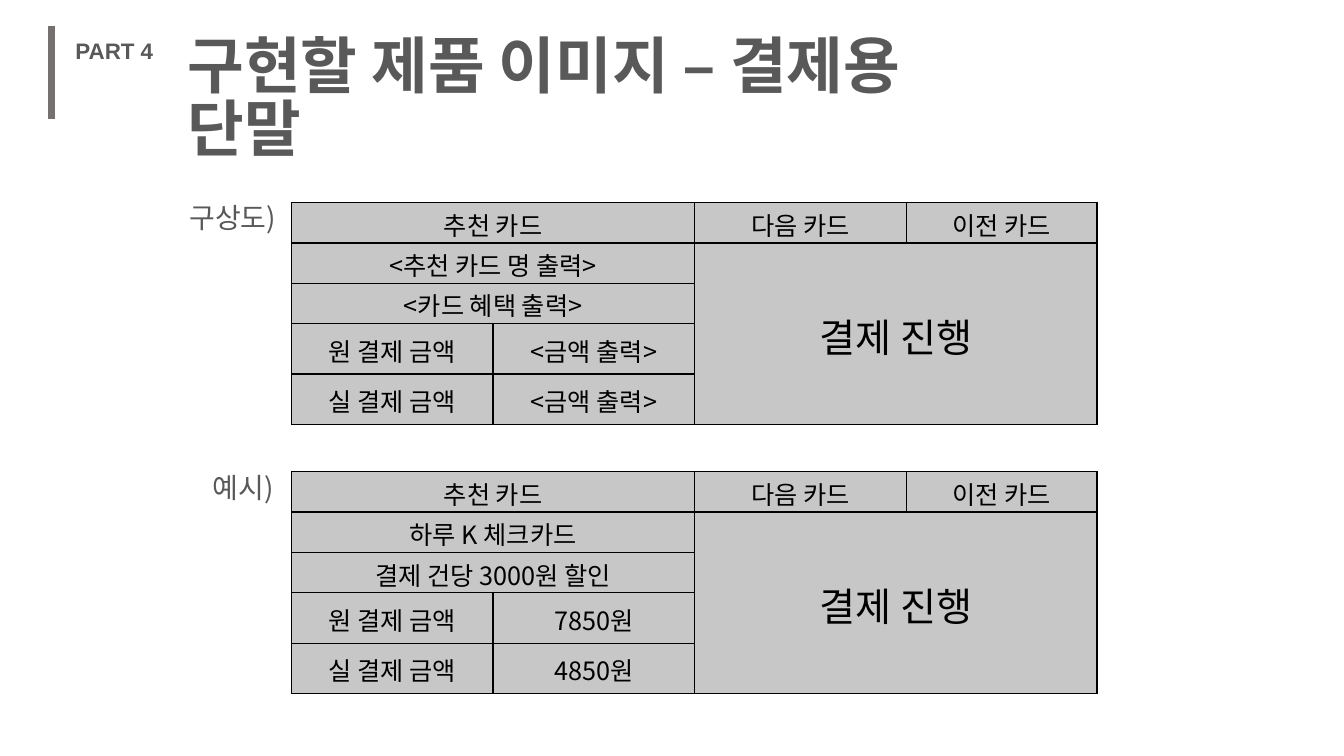
from lxml import etree
from pptx import Presentation
from pptx.dml.color import RGBColor
from pptx.enum import shapes, text
from pptx.oxml import ns
from pptx.util import Inches, Pt

DARK = RGBColor(0x59, 0x59, 0x59)
BAR = RGBColor(0x76, 0x71, 0x71)
BLACK = RGBColor(0, 0, 0)
GREY = RGBColor(0xC7, 0xC7, 0xC7)
SANS = "Noto Sans CJK KR"

TITLE = {"size": Pt(44), "name": SANS, "bold": True}
PART = {"size": Pt(16), "name": "Arial", "bold": True}
LABEL = {"size": Pt(20), "name": SANS}
CELL = {"size": Pt(18), "name": SANS}
PAY = {"size": Pt(28), "name": SANS}

# text, left, top, width, height, font, wrap, top inset, line spacing
TEXTS = [
    ("PART 4", 0.65, 0.32, 0.98, 0.37, PART, False, 0.05, 1.0),
    ("구현할 제품 이미지 – 결제용 단말", 1.76, 0.3, 8.5, 0.84, TITLE, True, 0.09, 0.84),
    ("구상도)", 1.78, 1.99, 1.15, 0.4, LABEL, False, 0, 1.0),
    ("예시)", 2.01, 4.67, 0.88, 0.4, LABEL, False, 0, 1.0),
]

# top, card name, benefit, full price, price to pay
PANELS = [
    (2.01, "<추천 카드 명 출력>", "<카드 혜택 출력>", "<금액 출력>", "<금액 출력>"),
    (4.68, "하루 K 체크카드", "결제 건당 3000원 할인", "7850원", "4850원"),
]
LEFT = 2.89
COLS = [2, 2, 2.1, 1.89]
ROWS = [0.4, 0.4, 0.4, 0.5, 0.5]
SPANS = [(0, 0, 0, 1), (1, 0, 1, 1), (2, 0, 2, 1), (1, 2, 4, 3)]


def style(par, look, color):
    for key, val in look.items():
        setattr(par.font, key, val)
    par.font.color.rgb = color
    for run in par.runs:
        for key, val in look.items():
            setattr(run.font, key, val)
        run.font.color.rgb = color
        east = etree.SubElement(run.font._element, ns.qn("a:ea"))
        east.set("typeface", look["name"])


def edge(cell):
    """Give the cell a thin black line on all four sides."""
    props = cell._tc.get_or_add_tcPr()
    for pos, side in enumerate(("lnL", "lnR", "lnT", "lnB")):
        line = etree.Element(ns.qn("a:" + side), w=str(Pt(1)))
        fill = etree.SubElement(line, ns.qn("a:solidFill"))
        etree.SubElement(fill, ns.qn("a:srgbClr"), val=str(BLACK))
        props.insert(pos, line)


def write(slide, words, left, top, width, height, look, wrap, inset, space):
    box = slide.shapes.add_textbox(*map(Inches, (left, top, width, height)))
    frame = box.text_frame
    frame.word_wrap = wrap
    frame.margin_top = Inches(inset)
    frame.text = words
    par = frame.paragraphs[0]
    par.line_spacing = space
    style(par, look, DARK)


def panel(slide, top, card, perk, full, net):
    words = {
        (0, 0): "추천 카드", (0, 2): "다음 카드", (0, 3): "이전 카드",
        (1, 0): card, (1, 2): "결제 진행", (2, 0): perk,
        (3, 0): "원 결제 금액", (3, 1): full,
        (4, 0): "실 결제 금액", (4, 1): net,
    }
    area = map(Inches, (LEFT, top, sum(COLS), sum(ROWS)))
    table = slide.shapes.add_table(len(ROWS), len(COLS), *area).table
    table.first_row = table.horz_banding = False
    for col, width in zip(table.columns, COLS):
        col.width = Inches(width)
    for row, height in zip(table.rows, ROWS):
        row.height = Inches(height)
    for r in range(len(ROWS)):
        for c in range(len(COLS)):
            cell = table.cell(r, c)
            cell.fill.solid()
            cell.fill.fore_color.rgb = GREY
            cell.margin_top, cell.margin_bottom = Inches(0.03), 0
            cell.vertical_anchor = text.MSO_ANCHOR.MIDDLE
            cell.text = words.get((r, c), "")
            par = cell.text_frame.paragraphs[0]
            par.alignment = text.PP_ALIGN.CENTER
            style(par, PAY if (r, c) == (1, 2) else CELL, BLACK)
            edge(cell)
    for r1, c1, r2, c2 in SPANS:
        table.cell(r1, c1).merge(table.cell(r2, c2))


def main():
    deck = Presentation()
    deck.slide_width, deck.slide_height = Inches(13.33), Inches(7.5)
    slide = deck.slides.add_slide(deck.slide_layouts[6])
    bar = slide.shapes.add_connector(
        shapes.MSO_CONNECTOR.STRAIGHT, *map(Inches, (0.51, 0.26, 0.51, 1.18)))
    bar.line.color.rgb = BAR
    bar.line.width = Pt(4.5)
    etree.SubElement(bar._element.spPr, ns.qn("a:effectLst"))
    for item in PANELS:
        panel(slide, *item)
    for item in TEXTS:
        write(slide, *item)
    deck.save("out.pptx")


if __name__ == "__main__":
    main()
